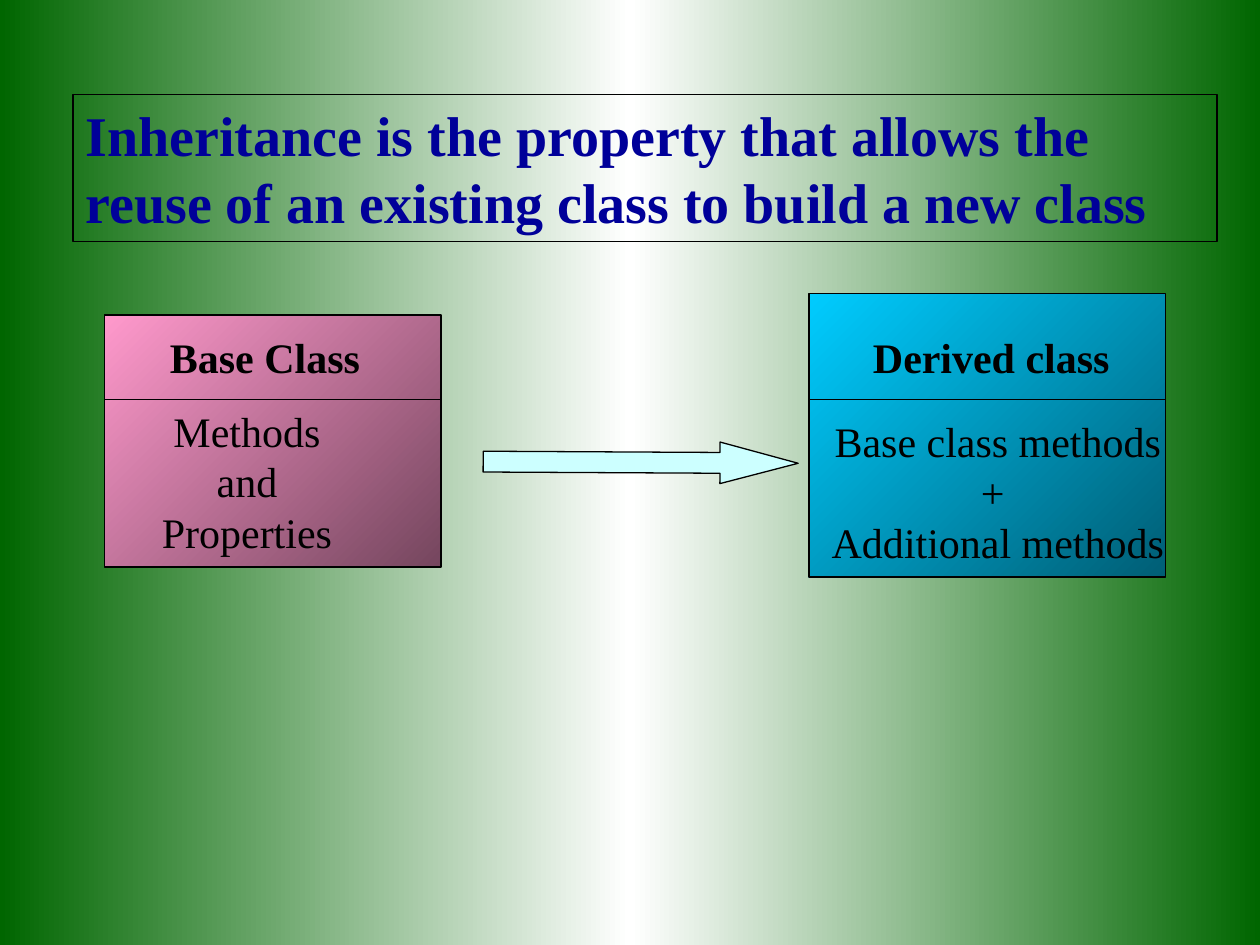
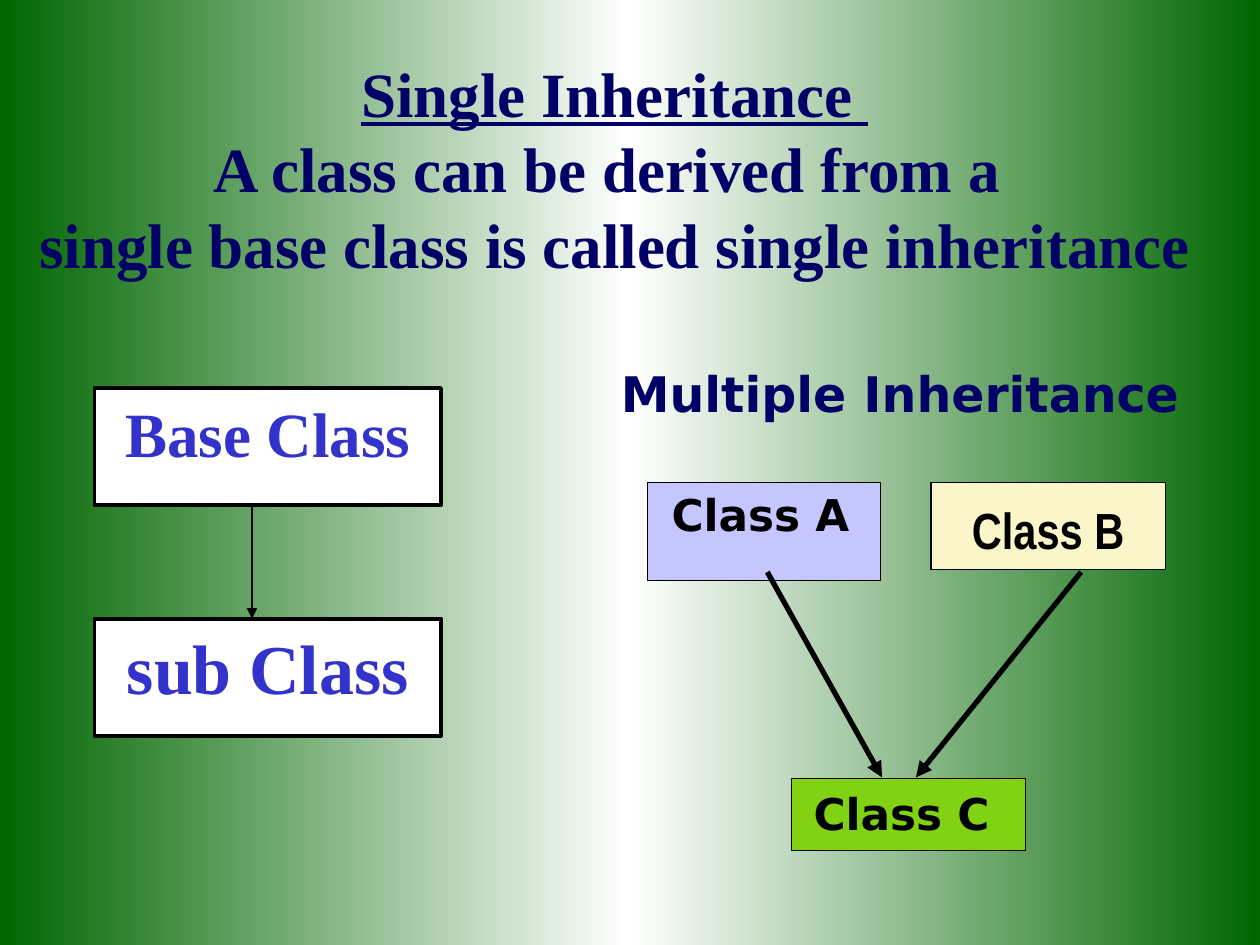
import copy
from dataclasses import dataclass

import pptx
import pptx.dml.color
import pptx.enum.shapes
import pptx.enum.text
import pptx.oxml
import pptx.oxml.ns
import pptx.util

Inches = pptx.util.Inches
Pt = pptx.util.Pt
Shape = pptx.enum.shapes.MSO_SHAPE
Anchor = pptx.enum.text.MSO_ANCHOR
Align = pptx.enum.text.PP_ALIGN

BLACK, WHITE = "000000", "FFFFFF"
GREEN, NAVY, TITLE_BLUE, CLASS_BLUE = "006600", "000066", "000099", "3333CC"
SERIF, SANS, NARROW = "Times New Roman", "DejaVu Sans", "Arial Narrow"
THIN = 0.74


@dataclass
class Place:
    """Left, top, width and height in inches."""
    left: float
    top: float
    width: float
    height: float

    def lengths(self) -> list:
        """Return the four values as lengths."""
        return [Inches(v) for v in (self.left, self.top, self.width, self.height)]


@dataclass
class Style:
    """How the text of one element looks."""
    size: float
    font: str = SERIF
    color: str = BLACK
    bold: bool = True
    align: Align = Align.CENTER
    before: float = 0
    anchor: Anchor = Anchor.TOP
    inset: tuple = (0.1, 0.05)


@dataclass
class ClassCard:
    """A class with a name, a divider and its members."""
    frame: Place
    light: str
    dark: str
    name: str
    name_place: Place
    members: str
    members_place: Place


@dataclass
class ClassLabel:
    """A coloured class box with a text laid over it."""
    box: Place
    fill: str
    text: str
    text_place: Place
    style: Style


def rgb(code: str) -> pptx.dml.color.RGBColor:
    """Turn a hex string into a colour."""
    return pptx.dml.color.RGBColor.from_string(code)


def set_gradient(owner, angle: float, colors: list) -> None:
    """Fill an owner with evenly spaced colours; angle is counter-clockwise."""
    owner.fill.gradient()
    owner.fill.gradient_angle = angle
    stop_list = owner.fill.gradient_stops
    element = owner.element if hasattr(owner, "element") else owner._cSld
    stops = element.xpath(".//a:gsLst")[0]
    for _ in range(len(colors) - len(stop_list)):
        stops.append(copy.deepcopy(stops[0]))
    for i, (stop, color) in enumerate(zip(owner.fill.gradient_stops, colors)):
        stop.position = i / (len(colors) - 1)
        stop.color.rgb = rgb(color)


def write(shape, text: str, style: Style) -> None:
    """Put text into a shape, one paragraph per line."""
    frame = shape.text_frame
    frame.word_wrap = True
    frame.vertical_anchor = style.anchor
    frame.margin_left = frame.margin_right = Inches(style.inset[0])
    frame.margin_top = frame.margin_bottom = Inches(style.inset[1])
    frame.text = text
    for paragraph in frame.paragraphs:
        paragraph.alignment = style.align
        paragraph.space_before = Pt(style.before)
        paragraph.font.name = style.font
        paragraph.font.size = Pt(style.size)
        paragraph.font.bold = style.bold
        paragraph.font.color.rgb = rgb(style.color)


def add_text(slide, place: Place, text: str, style: Style):
    """Add a text box."""
    box = slide.shapes.add_textbox(*place.lengths())
    write(box, text, style)
    return box


def add_box(slide, place: Place, fill: str = "", width: float = THIN,
            kind: Shape = Shape.RECTANGLE):
    """Add a black-edged shape, unfilled when no colour is given."""
    box = slide.shapes.add_shape(kind, *place.lengths())
    box.shadow.inherit = False
    if fill:
        box.fill.solid()
        box.fill.fore_color.rgb = rgb(fill)
    else:
        box.fill.background()
    box.line.color.rgb = rgb(BLACK)
    box.line.width = Pt(width)
    return box


def add_line(slide, start: tuple, end: tuple, width: float = THIN,
             arrow: bool = False) -> None:
    """Add a straight black line, with an arrowhead at its end if asked."""
    line = slide.shapes.add_connector(
        pptx.enum.shapes.MSO_CONNECTOR.STRAIGHT,
        *[Inches(v) for v in (*start, *end)])
    line.line.color.rgb = rgb(BLACK)
    line.line.width = Pt(width)
    properties = line.element.spPr
    if arrow:
        head = pptx.oxml.parse_xml(
            f'<a:tailEnd {pptx.oxml.ns.nsdecls("a")} type="triangle"/>')
        properties.find(pptx.oxml.ns.qn("a:ln")).append(head)
    properties.append(pptx.oxml.parse_xml(
        f'<a:effectLst {pptx.oxml.ns.nsdecls("a")}/>'))


def add_card(slide, card: ClassCard) -> None:
    """Draw a class card with its divider."""
    frame = card.frame
    set_gradient_box = add_box(slide, frame)
    set_gradient(set_gradient_box, 315, [card.light, card.dark])
    add_line(slide, (frame.left, 3.17), (frame.left + frame.width, 3.17))
    add_text(slide, card.name_place, card.name,
             Style(24, align=Align.LEFT, before=15))
    add_text(slide, card.members_place, card.members,
             Style(24, bold=False, before=15))


def add_label(slide, label: ClassLabel) -> None:
    """Draw a class box and the text over it."""
    add_box(slide, label.box, label.fill)
    add_text(slide, label.text_place, label.text, label.style)


def build_reuse(slide) -> None:
    """Show how a derived class reuses a base class."""
    definition = add_box(slide, Place(0.58, 0.75, 9.08, 1.17))
    write(definition, "Inheritance is the property that allows the reuse of an "
          "existing class to build a new class",
          Style(32, color=TITLE_BLUE, align=Align.LEFT, before=20))
    cards = [
        ClassCard(Place(0.83, 2.5, 2.67, 2), "FF99CC", "75465E",
                  "Base Class", Place(1.25, 2.58, 2, 0.5),
                  "Methods\vand Properties", Place(1, 3.17, 1.92, 1.3)),
        ClassCard(Place(6.42, 2.33, 2.83, 2.25), "00CCFF", "005E75",
                  "Derived class", Place(6.83, 2.58, 2.17, 0.5),
                  "Base class methods + \vAdditional methods",
                  Place(6.42, 3.25, 3, 1.3)),
    ]
    for card in cards:
        add_card(slide, card)
    reuse = add_box(slide, Place(4.92, 2.42, 0.33, 2.5), "CCFFFF",
                    kind=Shape.DOWN_ARROW)
    reuse.adjustments[0] = 0.5
    reuse.adjustments[1] = 1.88
    reuse.rotation = 270.3


def build_kinds(slide) -> None:
    """Show single and multiple inheritance."""
    heading = add_text(
        slide, Place(0, 0.38, 9.76, 1.9),
        "Single Inheritance \nA class can be derived from a \n"
        "single base class is called single inheritance",
        Style(36, color=NAVY, anchor=Anchor.MIDDLE))
    heading.text_frame.paragraphs[0].font.underline = True

    for top, name, size in ((3.08, "Base Class", 36), (4.91, "sub Class", 40)):
        box = add_box(slide, Place(0.75, top, 2.75, 0.93), WHITE, 2.24)
        write(box, name, Style(size, color=CLASS_BLUE))
    add_line(slide, (2, 3.99), (2, 4.91), 1.5, arrow=True)

    add_text(slide, Place(4.83, 2.83, 4.83, 0.57), "Multiple Inheritance",
             Style(28, SANS, NAVY, align=Align.LEFT, anchor=Anchor.MIDDLE))
    tight = (0.07, 0.04)
    wide_label = Style(25, SANS, inset=tight)
    labels = [
        ClassLabel(Place(5.14, 3.83, 1.85, 0.78), "C5C5FF", "Class A",
                   Place(5.14, 3.83, 1.79, 0.7), wide_label),
        ClassLabel(Place(7.39, 3.83, 1.86, 0.69), "FBF6C9", "Class B",
                   Place(7.5, 3.92, 1.64, 0.6), Style(29, NARROW, inset=tight)),
        ClassLabel(Place(6.28, 6.18, 1.86, 0.57), "80D212", "Class C",
                   Place(6.34, 6.2, 1.63, 0.39), wide_label),
    ]
    for label in labels:
        add_label(slide, label)
    for parent_x, child_x in ((6.09, 7), (8.58, 7.27)):
        add_line(slide, (parent_x, 4.54), (child_x, 6.17), 3, arrow=True)


def main() -> None:
    """Build and save the presentation."""
    deck = pptx.Presentation()
    deck.slide_width, deck.slide_height = Inches(10), Inches(7.5)
    blank = deck.slide_layouts[6]
    for build in (build_reuse, build_kinds):
        slide = deck.slides.add_slide(blank)
        build(slide)
    set_gradient(deck.slide_master.background, 0, [GREEN, WHITE, GREEN])
    deck.save("out.pptx")


main()
